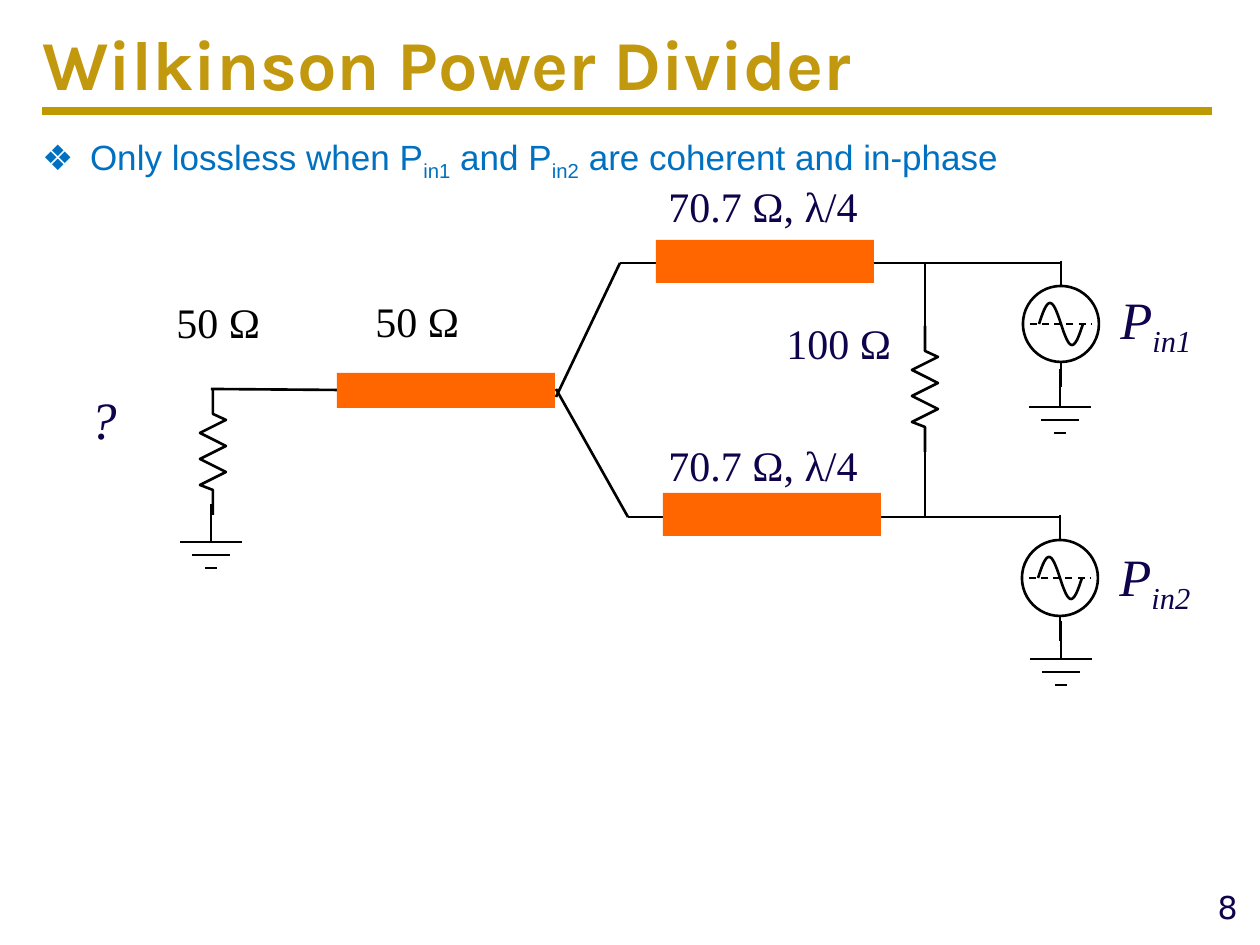
"""Build the Wilkinson power divider slide."""
from math import pi, sin

from lxml.etree import SubElement
from pptx import Presentation
from pptx.dml.color import RGBColor
from pptx.enum.dml import MSO_LINE
from pptx.enum.shapes import MSO_CONNECTOR, MSO_SHAPE
from pptx.enum.text import MSO_ANCHOR, MSO_AUTO_SIZE, PP_ALIGN
from pptx.oxml.ns import qn
from pptx.util import Pt

PX = 914400 / 126


class Theme:
    gold = RGBColor(0xC2, 0x99, 0x0E)
    rule = RGBColor(0xBF, 0x99, 0x00)
    blue = RGBColor(0x00, 0x70, 0xC0)
    navy = RGBColor(0x10, 0x03, 0x4C)
    black = RGBColor(0x00, 0x00, 0x00)
    orange = RGBColor(0xFF, 0x66, 0x00)
    title_size, body_size, number_size = 40, 20, 18
    value_size, symbol_size = 24, 30
    rule_width, wire_width, axis_width = 4.5, 1.5, 1
    title_font, body_font = "Karla", "Arial"
    label_font, number_font = "Times New Roman", "DejaVu Sans"


def px(*lengths):
    return [round(length * PX) for length in lengths]


def add_line(shapes, ends, color=Theme.black, width=Theme.wire_width):
    line = shapes.add_connector(MSO_CONNECTOR.STRAIGHT, *px(*ends))
    line.line.color.rgb = color
    line.line.width = Pt(width)
    SubElement(line._element.spPr, qn("a:effectLst"))
    return line


deck = Presentation()
deck.slide_width, deck.slide_height = px(1260, 945)
page = deck.slides.add_slide(deck.slide_layouts[1])
shapes = page.shapes
title, body = shapes.title, page.placeholders[1]

for holder, place, anchor in [
    (title, (42, 0, 1027, 126), MSO_ANCHOR.MIDDLE),
    (body, (42, 129, 1171, 597), MSO_ANCHOR.TOP),
]:
    holder.left, holder.top, holder.width, holder.height = px(*place)
    frame = holder.text_frame
    frame.margin_left, frame.margin_right, frame.margin_top, frame.margin_bottom = px(0, 13, 6, 6)
    frame.vertical_anchor = anchor
    frame.auto_size = MSO_AUTO_SIZE.NONE
    frame.word_wrap = True
    frame.paragraphs[0].alignment = PP_ALIGN.LEFT

indent = px(48)[0]
bullet = body.text_frame.paragraphs[0]._p.get_or_add_pPr()
bullet.set("marL", str(indent))
bullet.set("indent", str(-indent))
SubElement(bullet, qn("a:buFont")).set("typeface", "DejaVu Sans")
SubElement(bullet, qn("a:buChar")).set("char", "❖")

add_line(shapes, (42, 111, 1212, 111), Theme.rule, Theme.rule_width)

for wire in [
    (211, 389, 337, 390),
    (620, 263, 1060, 263),
    (628, 517, 1061, 517),
    (620, 263, 556, 397),
    (628, 517, 556, 389),
    (925, 263, 925, 352),
    (925, 428, 925, 517),
]:
    add_line(shapes, wire)

for place in [(337, 373, 218, 35), (656, 240, 218, 43), (663, 493, 218, 43)]:
    section = shapes.add_shape(MSO_SHAPE.RECTANGLE, *px(*place))
    section.shadow.inherit = False
    section.fill.solid()
    section.fill.fore_color.rgb = Theme.orange
    section.line.fill.background()

for x, y in [(211, 542), (1060, 407), (1061, 659)]:
    ground = shapes.add_group_shape().shapes
    add_line(ground, (x, y, x, y - 38))
    for step, half in enumerate((31, 19, 6)):
        level = y + 13 * step
        add_line(ground, (x - half, level, x + half, level))

outlines = []
for x, y in [(213, 389), (925, 326)]:
    teeth = [(x + 13 * (-1) ** tooth, y + 31 + 13 * tooth) for tooth in range(6)]
    points = [(x, y + 25), *teeth, (x, y + 101), (x, y + 126)]
    resistor = shapes.build_freeform(*px(x, y))
    resistor.add_line_segments([px(*point) for point in points], close=False)
    outlines.append(resistor.convert_to_shape())

for x, y in [(1060, 578), (1061, 324)]:
    source = shapes.add_group_shape().shapes
    outlines.append(source.add_shape(MSO_SHAPE.OVAL, *px(x - 38, y - 38, 76, 76)))
    add_line(source, (x, y - 63, x, y - 38))
    add_line(source, (x, y + 38, x, y + 63))
    points = [(x + step, y - 21 * sin(pi * (step + 22) / 22)) for step in range(-22, 23)]
    wave = source.build_freeform(*px(*points[0]))
    wave.add_line_segments([px(*point) for point in points[1:]], close=False)
    outlines.append(wave.convert_to_shape())
    axis = add_line(source, (x - 31, y, x + 31, y), width=Theme.axis_width)
    axis.line.dash_style = MSO_LINE.DASH

for outline in outlines:
    outline.shadow.inherit = False
    outline.fill.background()
    outline.line.color.rgb = Theme.black
    outline.line.width = Pt(Theme.wire_width)

texts = [
    (title, [("Wilkinson Power Divider", 0)],
     Theme.title_font, Theme.title_size, Theme.gold),
    (body, [("Only lossless when P", 0), ("in1", -25), (" and P", 0), ("in2", -25),
            (" are coherent and in-phase", 0)],
     Theme.body_font, Theme.body_size, Theme.blue),
]
for place, spans, font, size, color in [
    ((164, 290, 110, 63), [("50 Ω", 0)], Theme.label_font, Theme.value_size, Theme.black),
    ((363, 289, 110, 63), [("50 Ω", 0)], Theme.label_font, Theme.value_size, Theme.black),
    ((656, 174, 217, 63), [("70.7 Ω, λ/4", 0)], Theme.label_font, Theme.value_size, Theme.navy),
    ((656, 433, 217, 63), [("70.7 Ω, λ/4", 0)], Theme.label_font, Theme.value_size, Theme.navy),
    ((774, 311, 131, 63), [("100 Ω", 0)], Theme.label_font, Theme.value_size, Theme.navy),
    ((78, 381, 52, 77), [("?", 0)], Theme.label_font, Theme.symbol_size, Theme.navy),
    ((1108, 281, 103, 77), [("P", 0), ("in1", -25)],
     Theme.label_font, Theme.symbol_size, Theme.navy),
    ((1107, 538, 103, 77), [("P", 0), ("in2", -25)],
     Theme.label_font, Theme.symbol_size, Theme.navy),
    ((1071, 882, 179, 50), [("8", 0)], Theme.number_font, Theme.number_size, Theme.navy),
]:
    box = shapes.add_textbox(*px(*place))
    box.text_frame.auto_size = MSO_AUTO_SIZE.SHAPE_TO_FIT_TEXT
    box.text_frame.word_wrap = font == Theme.number_font
    if font == Theme.number_font:
        box.text_frame.paragraphs[0].alignment = PP_ALIGN.RIGHT
    texts.append((box, spans, font, size, color))

for box, spans, font, size, color in texts:
    para = box.text_frame.paragraphs[0]
    for text, baseline in spans:
        span = para.add_run()
        span.text = text
        span.font.name = font
        span.font.size = Pt(size)
        span.font.color.rgb = color
        span.font.bold = size == Theme.title_size
        span.font.italic = size == Theme.symbol_size
        if baseline:
            span.font._element.set("baseline", str(baseline * 1000))

deck.save("out.pptx")
